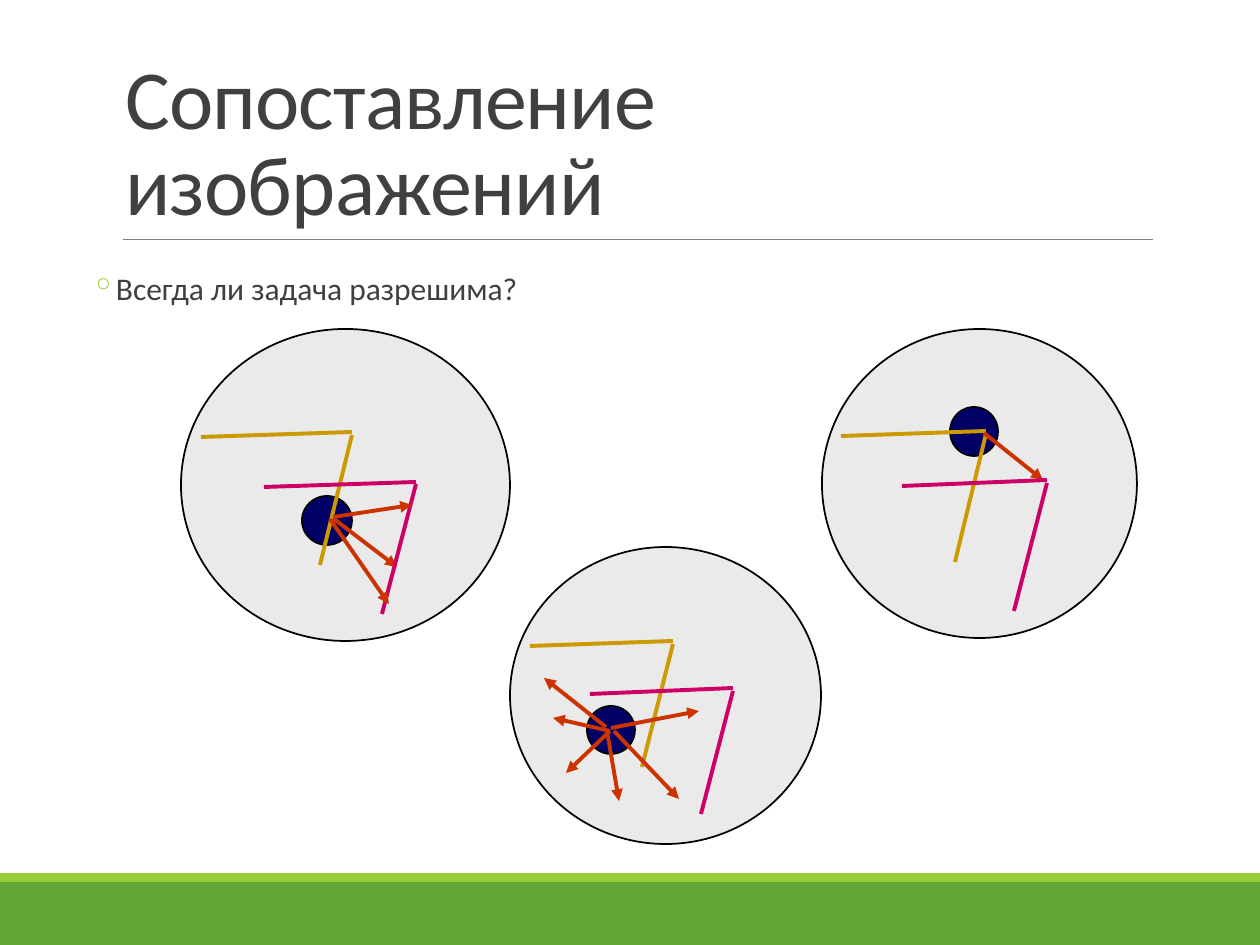
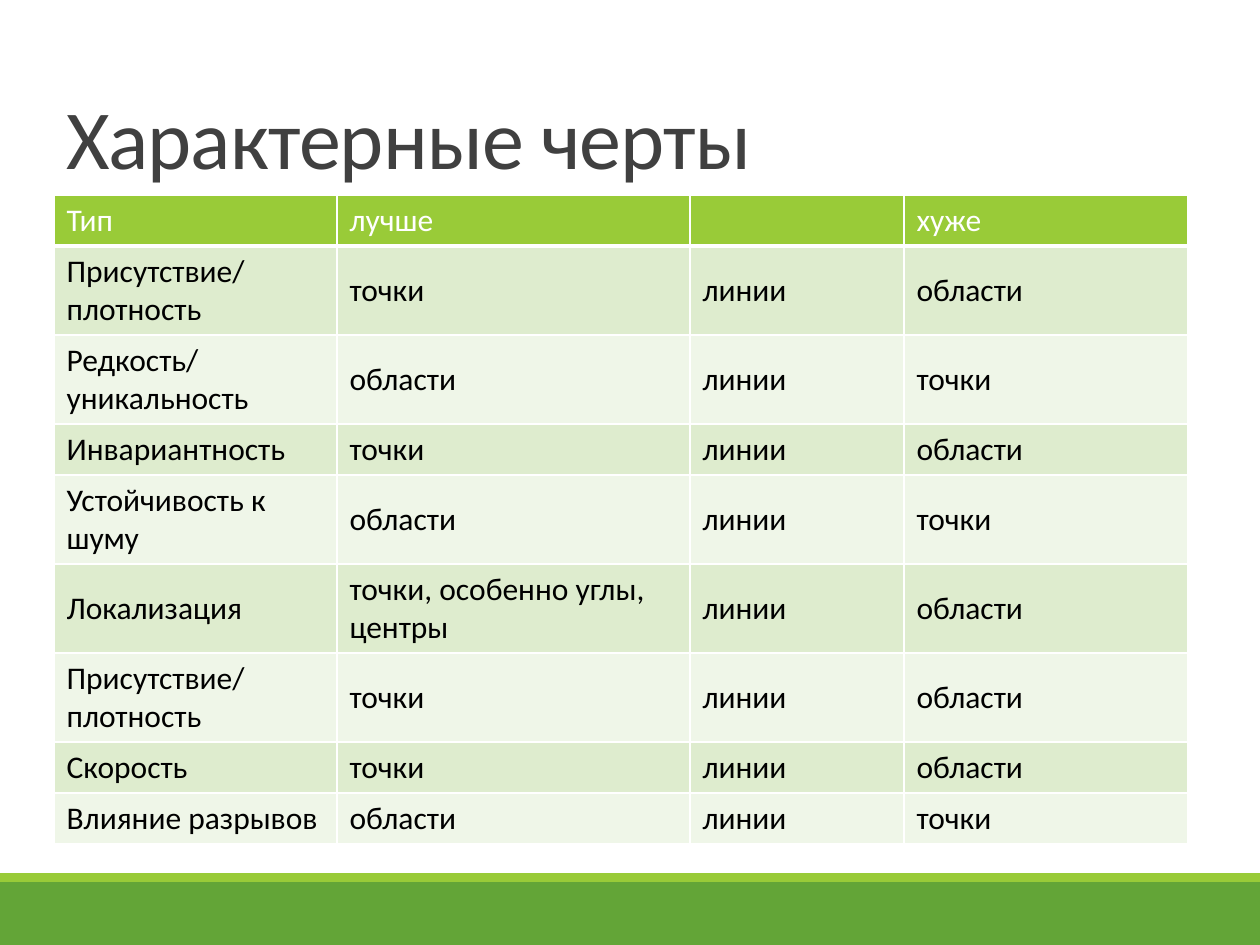
"""Build two slides on image matching: a three-scene diagram and a feature comparison table."""
from lxml.etree import SubElement
from pptx import Presentation
from pptx.dml.color import RGBColor
from pptx.enum.shapes import MSO_CONNECTOR as Connector, MSO_SHAPE as Preset
from pptx.enum.text import MSO_ANCHOR as Anchor
from pptx.oxml.ns import qn
from pptx.util import Pt

SCALE = 914400 / 126
SLIDE_SIZE = (1260, 945)
FONT = "Calibri"
TEXT, BLACK, WHITE = "404040", "000000", "FFFFFF"
GREEN, LIME, RULE = "63A537", "99CB38", "808080"
DISC, DOT = "EAEAEA", "000066"
GOLD, MAGENTA, RED = "CC9900", "CC0066", "CC3300"
BODY_BANDS = ("DEECCE", "EFF6E8")

FOOTER_BANDS = [((0, 882, 1260, 63), GREEN), ((0, 873, 1260, 9), LIME)]
TITLE_FORMAT = {"line_spacing": 0.85}
BODY_FORMAT = {"line_spacing": 0.9, "space_before": Pt(2), "space_after": Pt(4)}

MATCHING_TITLE = ("Сопоставление изображений", (113, 39, 1040, 200))
TITLE_RULE = ((123, 239), (1153, 239))
QUESTION = ("Всегда ли задача разрешима?", (63, 267, 1134, 156))

# Edge points are thousandths of the disc's width and height.
GOLD_EDGES = [((61, 347), (521, 331)), ((521, 339), (421, 755))]
MAGENTA_EDGES = [((253, 507), (713, 489)), ((713, 497), (610, 913))]
SCENES = [
    {"disc": (822, 329, 315, 309), "dot": (950, 407, 48, 49), "shift": (0, 0),
     "arrows": [((984, 433), (1043, 480))]},
    {"disc": (181, 329, 329, 312), "dot": (302, 496, 50, 49), "shift": (0, 0),
     "arrows": [((334, 519), (397, 567)), ((333, 517), (412, 505)),
                ((330, 519), (389, 604))]},
    {"disc": (510, 547, 311, 297), "dot": (587, 706, 48, 48), "shift": (1, -4),
     "arrows": [((614, 731), (679, 799)), ((611, 728), (699, 711)),
                ((607, 731), (619, 801)), ((610, 731), (553, 718)),
                ((606, 727), (544, 678)), ((610, 731), (566, 773))]},
]

FEATURES_TITLE = ("Характерные черты", (54, 35, 1134, 158))
TABLE_ORIGIN = (54, 195)
COLUMN_WIDTHS = (283, 353, 214, 284)
ROW_HEIGHTS = {1: 51, 2: 89}
FEATURE_ROWS = [
    (1, ("Тип", "лучше", "", "хуже")),
    (2, ("Присутствие/плотность", "точки", "линии", "области")),
    (2, ("Редкость/уникальность", "области", "линии", "точки")),
    (1, ("Инвариантность", "точки", "линии", "области")),
    (2, ("Устойчивость к шуму", "области", "линии", "точки")),
    (2, ("Локализация", "точки, особенно углы, центры", "линии", "области")),
    (2, ("Присутствие/плотность", "точки", "линии", "области")),
    (1, ("Скорость", "точки", "линии", "области")),
    (1, ("Влияние разрывов", "области", "линии", "точки")),
]


def px(*lengths):
    return [round(length * SCALE) for length in lengths]


def color(value):
    return RGBColor.from_string(value)


def set_values(target, values):
    for name, value in values.items():
        setattr(target, name, value)


def add_run(paragraph, text, size, text_color):
    run = paragraph.add_run()
    run.text = text
    set_values(run.font, {"name": FONT, "size": Pt(size)})
    run.font.color.rgb = color(text_color)
    return run


def add_filled(shapes, preset, box, fill, outline=None):
    shape = shapes.add_shape(preset, *px(*box))
    shape.shadow.inherit = False
    shape.fill.solid()
    shape.fill.fore_color.rgb = color(fill)
    if outline:
        shape.line.color.rgb = color(outline)
        shape.line.width = Pt(1)
    else:
        shape.line.fill.background()


def add_line(shapes, start, end, line_color, width=2.25, arrow=False):
    connector = shapes.add_connector(Connector.STRAIGHT, *px(*start, *end))
    connector.line.color.rgb = color(line_color)
    connector.line.width = Pt(width)
    if arrow:
        SubElement(connector.get_or_add_ln(), qn("a:tailEnd"), type="triangle")
    SubElement(connector._element.spPr, qn("a:effectLst"))


def add_text(slide, box, frame_format, paragraph_format):
    frame = slide.shapes.add_textbox(*px(*box)).text_frame
    set_values(frame, {"word_wrap": True, **frame_format})
    paragraph = frame.paragraphs[0]
    set_values(paragraph, paragraph_format)
    return paragraph


def add_slide(presentation, title, box):
    slide = presentation.slides.add_slide(presentation.slide_layouts[6])
    for band, fill in FOOTER_BANDS:
        add_filled(slide.shapes, Preset.RECTANGLE, band, fill)
    paragraph = add_text(slide, box, {"vertical_anchor": Anchor.BOTTOM}, TITLE_FORMAT)
    run = add_run(paragraph, title, 48, TEXT)
    run._r.get_or_add_rPr().set("spc", "-50")
    return slide


def add_question(slide, text, box):
    paragraph = add_text(slide, box, {"margin_left": 0, "margin_right": 0}, BODY_FORMAT)
    properties = paragraph._p.get_or_add_pPr()
    for name, length in zip(("marL", "indent"), px(53, -25)):
        properties.set(name, str(length))
    SubElement(SubElement(properties, qn("a:buClr")), qn("a:srgbClr"), val=LIME)
    SubElement(properties, qn("a:buChar"), char="◦")
    add_run(paragraph, text, 18, TEXT)


def add_scene(slide, disc, dot, shift, arrows):
    shapes = slide.shapes.add_group_shape().shapes
    left, top, width, height = disc

    def place(point):
        return (left + shift[0] + round(point[0] * width / 1000),
                top + shift[1] + round(point[1] * height / 1000))

    def add_edges(edges, edge_color):
        for start, end in edges:
            add_line(shapes, place(start), place(end), edge_color)

    def add_arrows(pairs):
        for start, end in pairs:
            add_line(shapes, start, end, RED, arrow=True)

    add_filled(shapes, Preset.OVAL, disc, DISC, BLACK)
    add_filled(shapes, Preset.OVAL, dot, DOT, BLACK)
    add_edges(GOLD_EDGES, GOLD)
    add_arrows(arrows[:1])
    add_edges(MAGENTA_EDGES, MAGENTA)
    add_arrows(arrows[1:])


def format_cell(cell, text, fill, text_color, bottom_width):
    properties = cell._tc.get_or_add_tcPr()
    for side, width in (("L", 1), ("R", 1), ("T", 1), ("B", bottom_width)):
        border = SubElement(properties, qn(f"a:ln{side}"), w=str(Pt(width)))
        SubElement(SubElement(border, qn("a:solidFill")), qn("a:srgbClr"), val=WHITE)
    cell.fill.solid()
    cell.fill.fore_color.rgb = color(fill)
    cell.vertical_anchor = Anchor.MIDDLE
    if text:
        add_run(cell.text_frame.paragraphs[0], text, 18, text_color)


def add_feature_table(slide):
    heights = [ROW_HEIGHTS[lines] for lines, _ in FEATURE_ROWS]
    box = (*TABLE_ORIGIN, sum(COLUMN_WIDTHS), sum(heights))
    table = slide.shapes.add_table(len(heights), len(COLUMN_WIDTHS), *px(*box)).table
    set_values(table, {"first_row": False, "horz_banding": False})
    for column, width in zip(table.columns, px(*COLUMN_WIDTHS)):
        column.width = width
    for row, height in zip(table.rows, px(*heights)):
        row.height = height
    for index, (_, texts) in enumerate(FEATURE_ROWS):
        body_style = (BODY_BANDS[(index - 1) % 2], BLACK, 1)
        style = body_style if index else (LIME, WHITE, 3)
        for cell, text in zip(table.rows[index].cells, texts):
            format_cell(cell, text, *style)


def main():
    presentation = Presentation()
    presentation.slide_width, presentation.slide_height = px(*SLIDE_SIZE)

    matching = add_slide(presentation, *MATCHING_TITLE)
    add_line(matching.shapes, *TITLE_RULE, RULE, width=0.5)
    add_question(matching, *QUESTION)
    for scene in SCENES:
        add_scene(matching, **scene)

    features = add_slide(presentation, *FEATURES_TITLE)
    add_feature_table(features)
    presentation.save("out.pptx")


if __name__ == "__main__":
    main()
